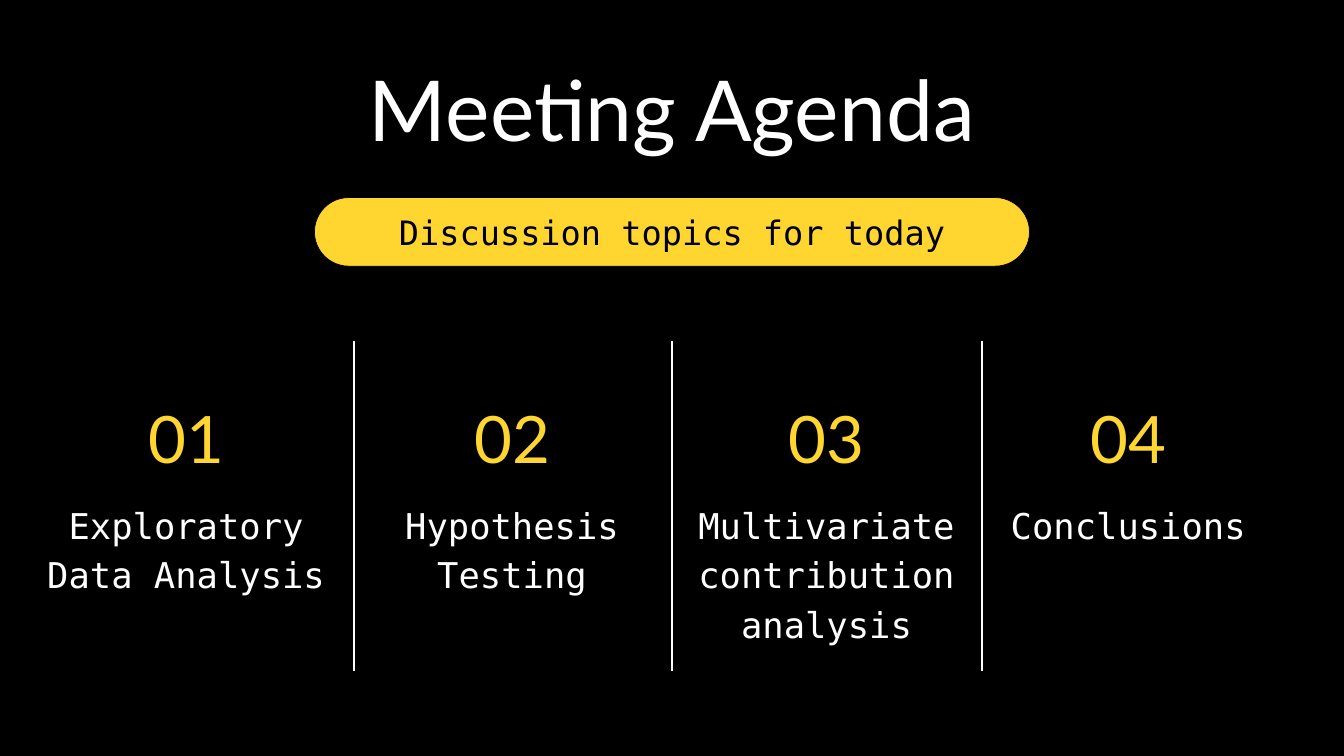
from lxml import etree
from pptx import Presentation
from pptx.dml.color import RGBColor
from pptx.enum.shapes import MSO_CONNECTOR, MSO_SHAPE
from pptx.enum.text import PP_ALIGN
from pptx.oxml.ns import qn
from pptx.util import Inches, Pt

BLACK = RGBColor(0x00, 0x00, 0x00)
WHITE = RGBColor(0xFF, 0xFF, 0xFF)
YELLOW = RGBColor(0xFF, 0xD6, 0x30)
HEADING_FONT = "Lato"
BODY_FONT = "DejaVu Sans Mono"
CENTER = PP_ALIGN.CENTER
ROUNDED = MSO_SHAPE.ROUNDED_RECTANGLE
STRAIGHT = MSO_CONNECTOR.STRAIGHT

SLIDE_WIDTH, SLIDE_HEIGHT = 20, 11.25
TITLE = "Meeting Agenda"
SUBTITLE = "Discussion topics for today"
TOPICS = [
    ("Exploratory Data Analysis", 2.77, 4.2, 2.14),
    ("Hypothesis Testing", 7.62, 3.71, 1.42),
    ("Multivariate contribution analysis", 12.3, 4.03, 2.14),
    ("Conclusions", 16.79, 3.64, 0.69),
]
DIVIDERS = [5.27, 10, 14.61]
DIVIDER_TOP, DIVIDER_BOTTOM = 5.07, 9.98
NUMBER_TOP, NUMBER_WIDTH, NUMBER_HEIGHT = 5.92, 2.06, 1.18
TOPIC_TOP = 7.39


def add_text(slide, text, center, top, width, height, font, size, spacing, color):
    box = slide.shapes.add_textbox(
        Inches(center - width / 2), Inches(top), Inches(width), Inches(height)
    )
    frame = box.text_frame
    frame.word_wrap = True
    frame.margin_left = frame.margin_right = 0
    frame.margin_top = frame.margin_bottom = 0
    paragraph = frame.paragraphs[0]
    paragraph.text = text
    paragraph.alignment = CENTER
    paragraph.line_spacing = Pt(spacing)
    paragraph.font.name = font
    paragraph.font.size = Pt(size)
    paragraph.font.color.rgb = color


def add_pill(slide, center, top, width, height):
    pill = slide.shapes.add_shape(
        ROUNDED, Inches(center - width / 2), Inches(top), Inches(width), Inches(height)
    )
    pill.adjustments[0] = 0.5
    pill.shadow.inherit = False
    pill.fill.solid()
    pill.fill.fore_color.rgb = YELLOW
    pill.line.color.rgb = BLACK
    pill.line.width = Pt(0.75)


def add_divider(slide, x):
    divider = slide.shapes.add_connector(
        STRAIGHT, Inches(x), Inches(DIVIDER_TOP), Inches(x), Inches(DIVIDER_BOTTOM)
    )
    divider.line.color.rgb = WHITE
    divider.line.width = Pt(2.25)
    etree.SubElement(divider._element.spPr, qn("a:effectLst"))


def main():
    presentation = Presentation()
    presentation.slide_width = Inches(SLIDE_WIDTH)
    presentation.slide_height = Inches(SLIDE_HEIGHT)
    slide = presentation.slides.add_slide(presentation.slide_layouts[6])
    slide.background.fill.solid()
    slide.background.fill.fore_color.rgb = BLACK

    middle = SLIDE_WIDTH / 2
    add_text(slide, TITLE, middle, 0.85, 15.64, 1.52, HEADING_FONT, 90, 108, WHITE)
    add_pill(slide, middle, 2.94, 10.64, 1.02)
    add_text(slide, SUBTITLE, middle, 3.1, 9.47, 0.64, BODY_FONT, 36, 46.8, BLACK)

    for number, (topic, center, width, height) in enumerate(TOPICS, 1):
        add_text(slide, f"{number:02}", center, NUMBER_TOP, NUMBER_WIDTH,
                 NUMBER_HEIGHT, HEADING_FONT, 70, 84, YELLOW)
        add_text(slide, topic, center, TOPIC_TOP, width, height,
                 BODY_FONT, 38, 53.2, WHITE)

    for x in DIVIDERS:
        add_divider(slide, x)

    presentation.save("out.pptx")


if __name__ == "__main__":
    main()
